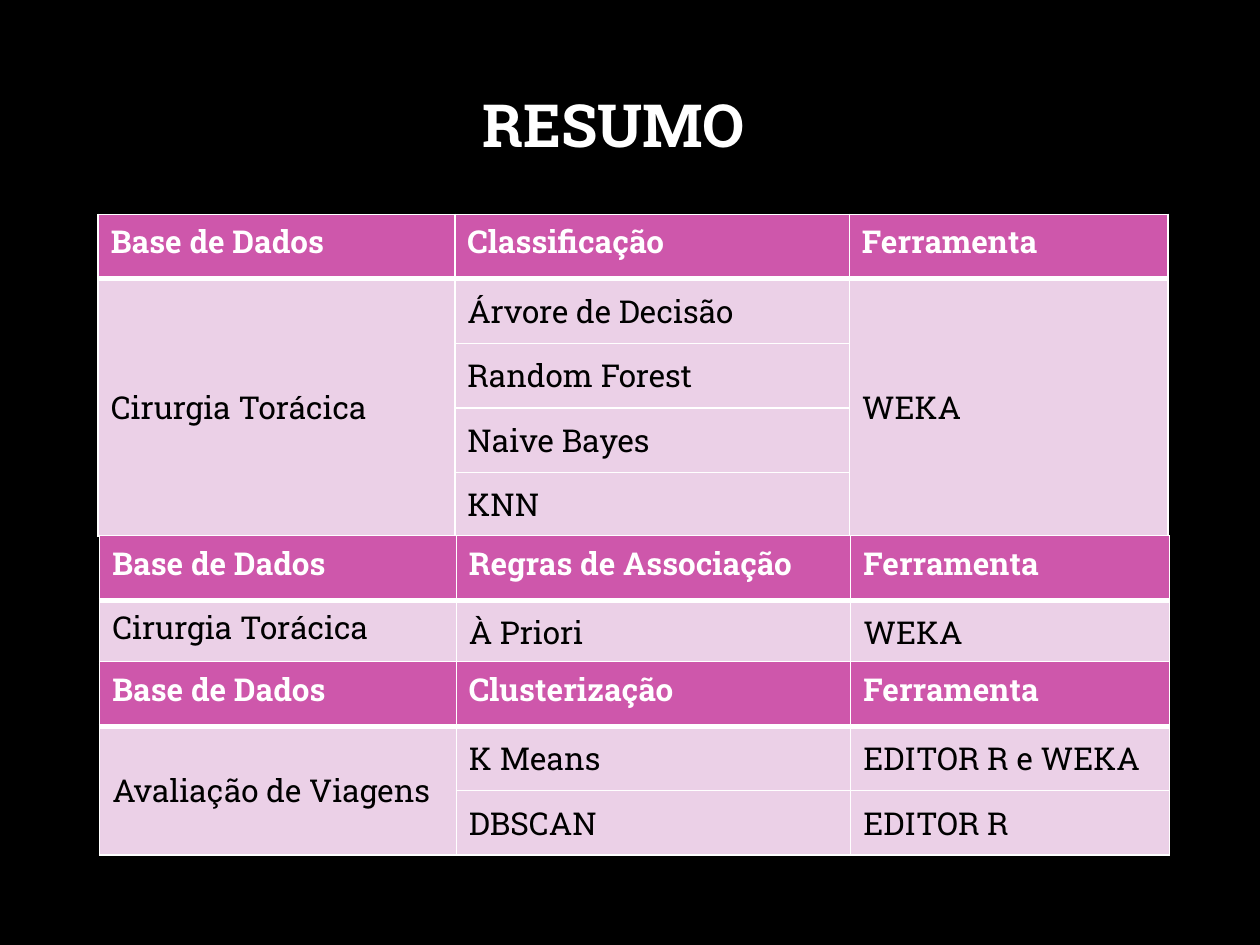
"""Build the summary slide with its three stacked tables."""
from lxml.etree import SubElement
from pptx import Presentation
from pptx.dml.color import RGBColor
from pptx.enum.text import MSO_ANCHOR, PP_ALIGN
from pptx.oxml.ns import qn
from pptx.util import Cm, Pt

WHITE, BLACK, PINK, PALE = "FFFFFF", "000000", "CE57AB", "EBD0E7"
WIDTHS = (7.19, 7.95, 6.43)
ROW = 1.3


def paint(fill, color):
    fill.solid()
    fill.fore_color.rgb = RGBColor.from_string(color)


def style(par, size, color, bold):
    par.font.name = "Roboto Slab"
    par.font.size = Pt(size)
    par.font.bold = bold
    paint(par.font.fill, color)


def add_title(slide, text):
    box = slide.shapes.add_textbox(Cm(-1.27), Cm(0.74), Cm(27.28), Cm(3.68))
    frame = box.text_frame
    frame.word_wrap = True
    frame.vertical_anchor = MSO_ANCHOR.MIDDLE
    par = frame.paragraphs[0]
    par.text = text
    par.alignment = PP_ALIGN.CENTER
    par.line_spacing = 0.9
    style(par, 34, WHITE, True)


def add_edges(cell, top, bottom):
    props = cell._tc.get_or_add_tcPr()
    for side, width in zip("LRTB", (1, 1, top, bottom)):
        line = SubElement(props, qn(f"a:ln{side}"), w=str(Pt(width)))
        fill = SubElement(line, qn("a:solidFill"))
        SubElement(fill, qn("a:srgbClr"), val=WHITE)


def fill_cell(cell, text, row, anchor):
    head = row == 0
    add_edges(cell, 3 if row == 1 else 1, 3 if head else 1)
    paint(cell.fill, PINK if head else PALE)
    cell.vertical_anchor = MSO_ANCHOR.TOP if head else anchor
    cell.text = text or ""
    style(cell.text_frame.paragraphs[0], 18, WHITE if head else BLACK, head)


def add_grid(slide, left, top, method, body, first=MSO_ANCHOR.MIDDLE):
    rows = [("Base de Dados", method, "Ferramenta"), *body]
    frame = slide.shapes.add_table(len(rows), len(WIDTHS), Cm(left), Cm(top),
                                   Cm(sum(WIDTHS)), Cm(ROW * len(rows)))
    table = frame.table
    for col, width in zip(table.columns, WIDTHS):
        col.width = Cm(width)
    for r, texts in enumerate(rows):
        table.rows[r].height = Cm(ROW)
        for c, text in enumerate(texts):
            anchor = MSO_ANCHOR.MIDDLE if c else first
            fill_cell(table.cell(r, c), text, r, anchor)
    for c, text in enumerate(rows[-1]):
        if text is None:
            table.cell(1, c).merge(table.cell(len(rows) - 1, c))


def main():
    deck = Presentation()
    deck.slide_width, deck.slide_height = Cm(25.4), Cm(19.05)
    slide = deck.slides.add_slide(deck.slide_layouts[6])
    paint(slide.background.fill, BLACK)
    add_title(slide, "RESUMO")
    add_grid(slide, 1.98, 4.32, "Classificação", [
        ("Cirurgia Torácica", "Árvore de Decisão", "WEKA"),
        (None, "Random Forest", None),
        (None, "Naive Bayes", None),
        (None, "KNN", None),
    ])
    add_grid(slide, 2.01, 10.8, "Regras de Associação", [
        ("Cirurgia Torácica", "À Priori", "WEKA"),
    ], MSO_ANCHOR.TOP)
    add_grid(slide, 2.01, 13.34, "Clusterização", [
        ("Avaliação de Viagens", "K Means", "EDITOR R e WEKA"),
        (None, "DBSCAN", "EDITOR R"),
    ])
    deck.save("out.pptx")


if __name__ == "__main__":
    main()
